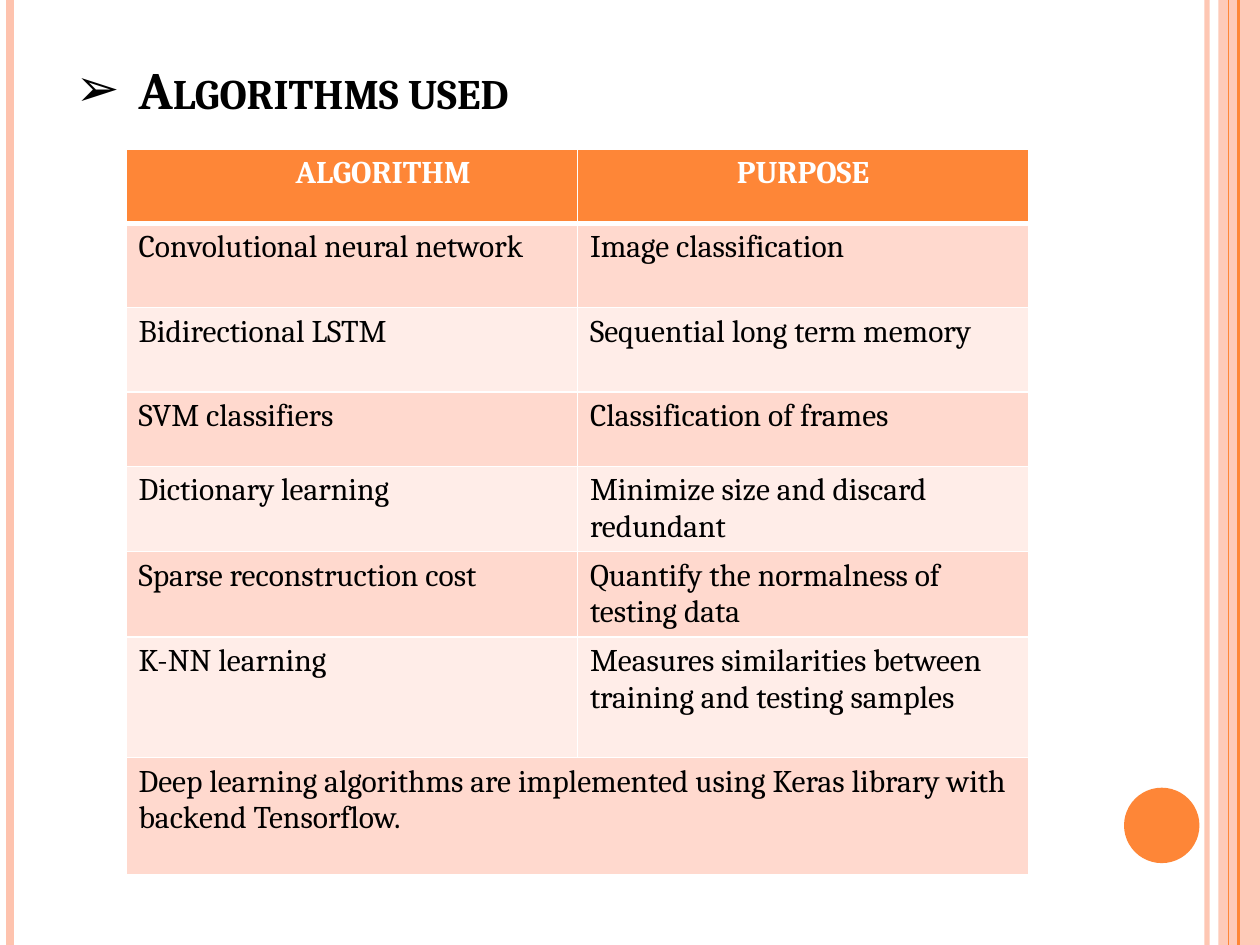
from lxml.etree import SubElement
from pptx import Presentation
from pptx.dml.color import RGBColor as RGB
from pptx.enum.shapes import MSO_CONNECTOR as LINK, MSO_SHAPE as SHAPE
from pptx.enum.text import MSO_ANCHOR as ANCHOR, MSO_AUTO_SIZE as FIT, PP_ALIGN as ALIGN
from pptx.oxml import parse_xml
from pptx.oxml.ns import nsdecls, qn
from pptx.util import Cm, Pt

HUES = {"orange": "FE8637", "peach": "FEC3AE", "dark": "FFD9CE",
        "light": "FFEDE8", "white": "FFFFFF", "black": "000000"}


def write(frame, text, size=18, hue="black", bold=False, align=ALIGN.LEFT, left=0, hang=0):
    para = frame.paragraphs[0]
    para.alignment = align
    props = para._p.get_or_add_pPr()
    props.set("marL", str(Cm(left)))
    props.set("indent", str(-Cm(hang)))
    run = para.add_run()
    run.text = text
    font = run.font
    font.name, font.size, font.bold = "Cambria", Pt(size), bold
    font.color.rgb = RGB.from_string(HUES[hue])
    return para, run


def paint(fill, hue, alpha=100):
    fill.solid()
    fill.fore_color.rgb = RGB.from_string(HUES[hue])
    if alpha < 100:
        color = fill._xPr.find(qn("a:solidFill"))[0]
        SubElement(color, qn("a:alpha")).set("val", str(alpha * 1000))


deck = Presentation()
deck.slide_width, deck.slide_height = Cm(25.4), Cm(19.05)
slide = deck.slides.add_slide(deck.slide_layouts[5])
shapes = slide.shapes
paint(slide.background.fill, "white")

band = shapes.add_shape(SHAPE.RECTANGLE, Cm(24.56), 0, Cm(0.84), Cm(19.05))
disc = shapes.add_shape(SHAPE.OVAL, Cm(22.66), Cm(15.88), Cm(1.52), Cm(1.52))
for shape, hue, alpha in [(band, "peach", 87), (disc, "orange", 100)]:
    shape.shadow.inherit = False
    shape.line.fill.background()
    paint(shape.fill, hue, alpha)

for x, hue, width, alpha in [(24.33, "peach", 3, 93), (0.2, "peach", 4.5, 100),
                             (24.97, "orange", 1.5, 100), (24.77, "orange", 0.75, 100)]:
    rule = shapes.add_connector(LINK.STRAIGHT, Cm(x), 0, Cm(x), Cm(19.05))
    rule.line.width = Pt(width)
    paint(rule.line.fill, hue, alpha)
    SubElement(rule._element.spPr, qn("a:effectLst"))

title = shapes.title
title.left, title.top, title.width, title.height = Cm(1.27), Cm(0.76), Cm(20.75), Cm(1.78)
frame = title.text_frame
frame.auto_size, frame.vertical_anchor = FIT.NONE, ANCHOR.BOTTOM
para, run = write(frame, "Algorithms used", size=30, bold=True, left=1.27, hang=1.27)
run.font._element.set("cap", "small")
SubElement(para._p.pPr, qn("a:buFont")).set("typeface", "Arial")
SubElement(para._p.pPr, qn("a:buChar")).set("char", "➢")

rows = [
    ("ALGORITHM", "PURPOSE"),
    ("Convolutional neural network", "Image classification"),
    ("Bidirectional LSTM", "Sequential long term memory"),
    ("SVM classifiers", "Classification of frames"),
    ("Dictionary learning", "Minimize size and discard redundant"),
    ("Sparse reconstruction cost", "Quantify the normalness of testing data"),
    ("K-NN learning", "Measures similarities between training and testing samples"),
    ("Deep learning algorithms are implemented using Keras library "
     "with backend Tensorflow.",),
]
highs = [1.5, 1.7, 1.7, 1.5, 1.7, 1.7, 2.43, 2.36]
table = shapes.add_table(len(rows), 2, Cm(2.54), Cm(3), Cm(18.2), Cm(sum(highs))).table
table.cell(7, 0).merge(table.cell(7, 1))
for r, (texts, high) in enumerate(zip(rows, highs)):
    table.rows[r].height = Cm(high)
    head = r == 0
    for c in range(2):
        cell = table.cell(r, c)
        paint(cell.fill, "orange" if head else "dark" if r % 2 else "light")
        for i, side in enumerate("LRTB"):
            thick = 3 if head and side == "B" or r == 1 and side == "T" else 1
            edge = parse_xml(f'<a:ln{side} {nsdecls("a")} w="{Pt(thick)}"><a:solidFill>'
                             f'<a:srgbClr val="{HUES["white"]}"/></a:solidFill></a:ln{side}>')
            cell._tc.tcPr.insert(i, edge)
    for c, text in enumerate(texts):
        write(table.cell(r, c).text_frame, text, hue="white" if head else "black", bold=head,
              align=ALIGN.CENTER if head else ALIGN.LEFT, left=1.27 if head and c == 0 else 0)

deck.save("out.pptx")
